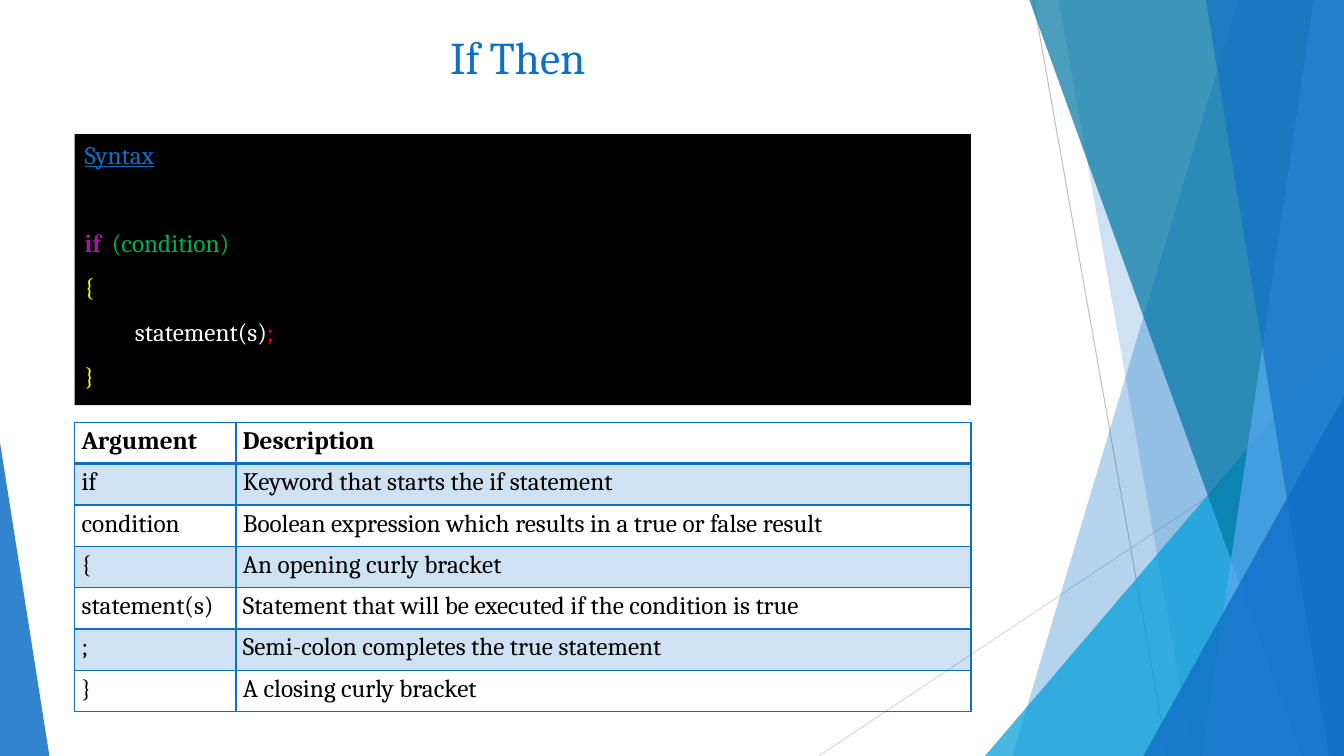
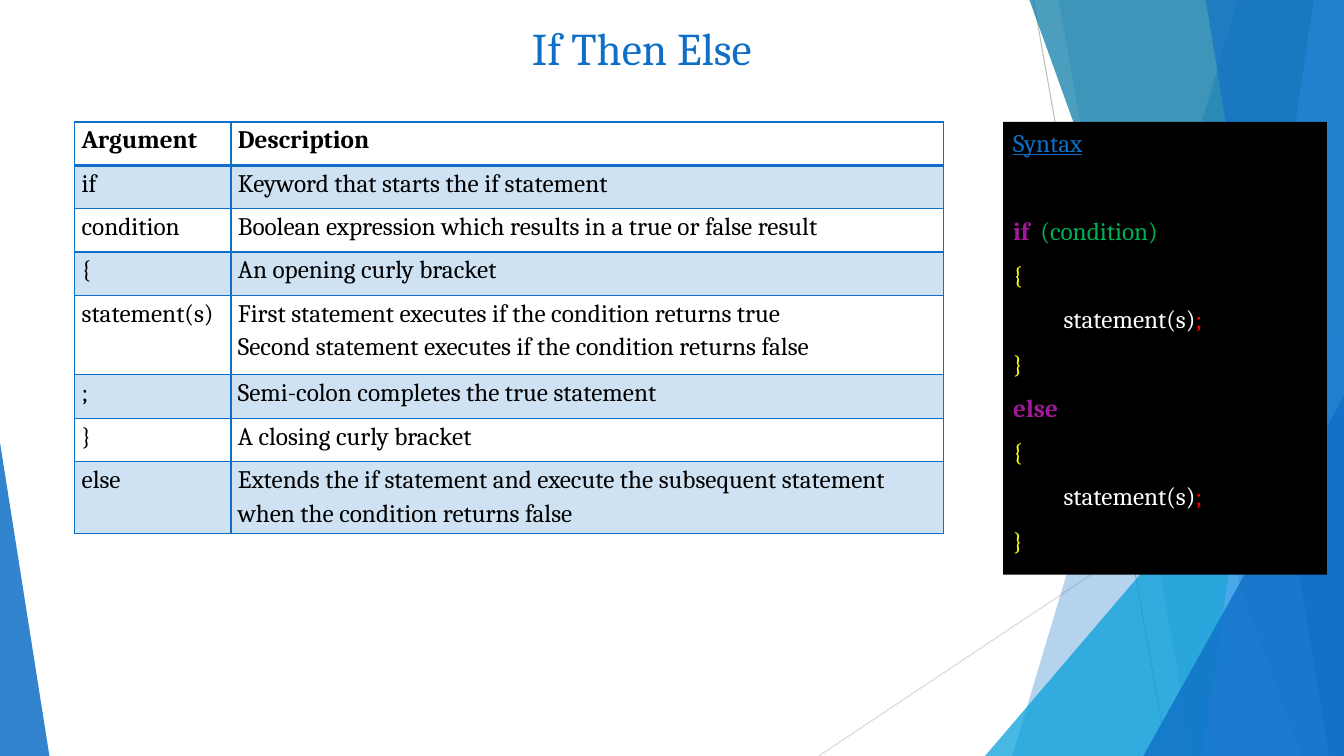
from lxml import etree
from pptx import Presentation
from pptx.dml.color import RGBColor
from pptx.enum.shapes import MSO_CONNECTOR, MSO_SHAPE
from pptx.enum.text import MSO_ANCHOR, PP_ALIGN
from pptx.oxml.ns import qn
from pptx.util import Inches, Pt

LINE = MSO_CONNECTOR.STRAIGHT
RECT = MSO_SHAPE.RECTANGLE
WEDGE = MSO_SHAPE.ISOSCELES_TRIANGLE
TOP = MSO_ANCHOR.TOP
LEFT = PP_ALIGN.LEFT
MID = PP_ALIGN.CENTER

FONT = "Cambria"
WIDE, HIGH = 13.33, 7.5
BLUE, CYAN, TEAL, SKY = "0F6FC6", "009DD9", "0076A3", "59AAF2"
BLACK, WHITE, RED = "000000", "FFFFFF", "FF0000"
PLUM, GREEN, GOLD = "A21898", "00B050", "FFFF00"

RAYS = [((10.25, 0), (11.58, HIGH), "BFBFBF"),
        ((WIDE, 4.03), (8.12, HIGH), "D9D9D9")]
DECOR = [("band", (12.28, 10.04), BLUE, 30),
         ("band", (10.5, 11.83), BLUE, 20),
         ("wedge", (9.77, 3.33, 3.56, 1), CYAN, 72),
         ("band", (10.21, 12.91), TEAL, 70),
         ("band", (13.03, 11.92), SKY, 70),
         ("band", (11.96, 13.18), BLUE, 65),
         ("wedge", (11.34, 3.93, 1.99, 1), BLUE, 80),
         ("wedge", (0, 4.39, 0.49, 0), BLUE, 85)]

OPEN = [("{", GOLD)]
CLOSE = [("}", GOLD)]
BODY = [("statement(s)", WHITE), (";", RED)]
IF_CODE = [[("Syntax", BLUE)], [("if  ", PLUM), ("(condition)", GREEN)],
           OPEN, BODY, CLOSE]
ELSE_CODE = IF_CODE + [[("else", PLUM)], OPEN, BODY, CLOSE]

HEAD = [("Argument", "Description"),
        ("if", "Keyword that starts the if statement"),
        ("condition",
         "Boolean expression which results in a true or false result"),
        ("{", "An opening curly bracket")]
TAIL = [(";", "Semi-colon completes the true statement"),
        ("}", "A closing curly bracket")]
IF_ROWS = HEAD + [
    ("statement(s)",
     "Statement that will be executed if the condition is true")] + TAIL
ELSE_ROWS = HEAD + [
    ("statement(s)",
     "First statement executes if the condition returns true\n"
     "Second statement executes if the condition returns false"),
    *TAIL,
    ("else", "Extends the if statement and execute the subsequent "
             "statement when the condition returns false")]


def rgb(tone):
    return RGBColor.from_string(tone)


def paint(fill, tone, alpha=100):
    fill.solid()
    fill.fore_color.rgb = rgb(tone)
    if alpha < 100:
        color = fill._xPr.find(qn("a:solidFill"))[0]
        etree.SubElement(color, qn("a:alpha"), val=str(alpha * 1000))


def style(run, tone, size=18, bold=False):
    font = run.font
    font.name = FONT
    font.size = Pt(size)
    font.bold = bold
    font.color.rgb = rgb(tone)


def finish(shape, tone, alpha=100):
    shape.shadow.inherit = False
    shape.line.fill.background()
    paint(shape.fill, tone, alpha)


def add_ray(slide, start, end, tone):
    ray = slide.shapes.add_connector(LINE, *map(Inches, start + end))
    ray.line.color.rgb = rgb(tone)
    ray.line.width = Pt(0.75)
    etree.SubElement(ray._element.spPr, qn("a:effectLst"))


def add_band(slide, top, foot):
    pen = slide.shapes.build_freeform(Inches(top), 0)
    spots = [(WIDE, 0), (WIDE, HIGH), (foot, HIGH)]
    pen.add_line_segments([(Inches(x), Inches(y)) for x, y in spots])
    return pen.convert_to_shape()


def add_wedge(slide, left, top, width, peak):
    box = map(Inches, (left, top, width, HIGH - top))
    wedge = slide.shapes.add_shape(WEDGE, *box)
    wedge.adjustments[0] = peak
    return wedge


def add_decor(slide):
    for ray in RAYS:
        add_ray(slide, *ray)
    makers = {"band": add_band, "wedge": add_wedge}
    for kind, place, tone, alpha in DECOR:
        finish(makers[kind](slide, *place), tone, alpha)


def add_title(slide, text, box):
    frame = slide.shapes.add_textbox(*map(Inches, box)).text_frame
    frame.word_wrap = True
    frame.margin_top = Inches(0.08)
    frame.text = text
    para = frame.paragraphs[0]
    para.alignment = MID
    style(para.runs[0], BLUE, 32.4)


def add_code(slide, lines, box):
    shape = slide.shapes.add_shape(RECT, *map(Inches, box))
    finish(shape, BLACK)
    frame = shape.text_frame
    frame.word_wrap = True
    frame.vertical_anchor = TOP
    for row, line in enumerate(lines):
        para = frame.paragraphs[0] if row == 0 else frame.add_paragraph()
        para.alignment = LEFT
        para.space_before = Pt(41.5 if row == 1 else 10)
        if line is BODY:
            para._p.get_or_add_pPr().set("marL", str(Inches(0.5)))
        for text, tone in line:
            run = para.add_run()
            run.text = text
            style(run, tone, bold=tone == PLUM)
            run.font.underline = row == 0


def add_edge(cell, side, width):
    props = cell._tc.get_or_add_tcPr()
    edge = etree.SubElement(props, qn("a:ln" + side), w=str(Pt(width)))
    fill = etree.SubElement(edge, qn("a:solidFill"))
    etree.SubElement(fill, qn("a:srgbClr"), val=BLUE)


def fill_cell(cell, text, row):
    cell.margin_left = cell.margin_right = Inches(0.07)
    cell.margin_top = cell.margin_bottom = 0
    cell.vertical_anchor = TOP
    for side in "LRTB":
        thick = (row, side) in [(0, "B"), (1, "T")]
        add_edge(cell, side, 2 if thick else 1)
    if row % 2:
        paint(cell.fill, BLUE, 20)
    else:
        cell.fill.background()
    cell.text_frame.text = text
    for para in cell.text_frame.paragraphs:
        para.line_spacing = 1.15
        style(para.runs[0], BLACK, bold=row == 0)


def add_grid(slide, rows, place, widths, heights):
    size = (sum(widths), sum(heights))
    frame = slide.shapes.add_table(len(rows), 2, *map(Inches, place + size))
    table = frame.table
    table.horz_banding = False
    for col, width in zip(table.columns, widths):
        col.width = Inches(width)
    for line, height in zip(table.rows, heights):
        line.height = Inches(height)
    for row, texts in enumerate(rows):
        for col, text in enumerate(texts):
            fill_cell(table.cell(row, col), text, row)


def add_page(deck, title, box):
    slide = deck.slides.add_slide(deck.slide_layouts[6])
    add_decor(slide)
    add_title(slide, title, box)
    return slide


def main():
    deck = Presentation()
    deck.slide_width = Inches(WIDE)
    deck.slide_height = Inches(HIGH)

    page = add_page(deck, "If Then", (0.69, 0.21, 8.89, 1.12))
    add_code(page, IF_CODE, (0.74, 1.33, 8.89, 2.69))
    add_grid(page, IF_ROWS, (0.74, 4.19), (1.6, 7.29), [0.41] * 7)

    page = add_page(deck, "If Then Else", (0.74, 0.12, 11.25, 0.74))
    add_grid(page, ELSE_ROWS, (0.74, 1.21), (1.55, 7.07),
             [0.43] * 4 + [0.79, 0.43, 0.43, 0.71])
    add_code(page, ELSE_CODE, (9.95, 1.21, 3.21, 4.49))

    deck.save("out.pptx")


main()
